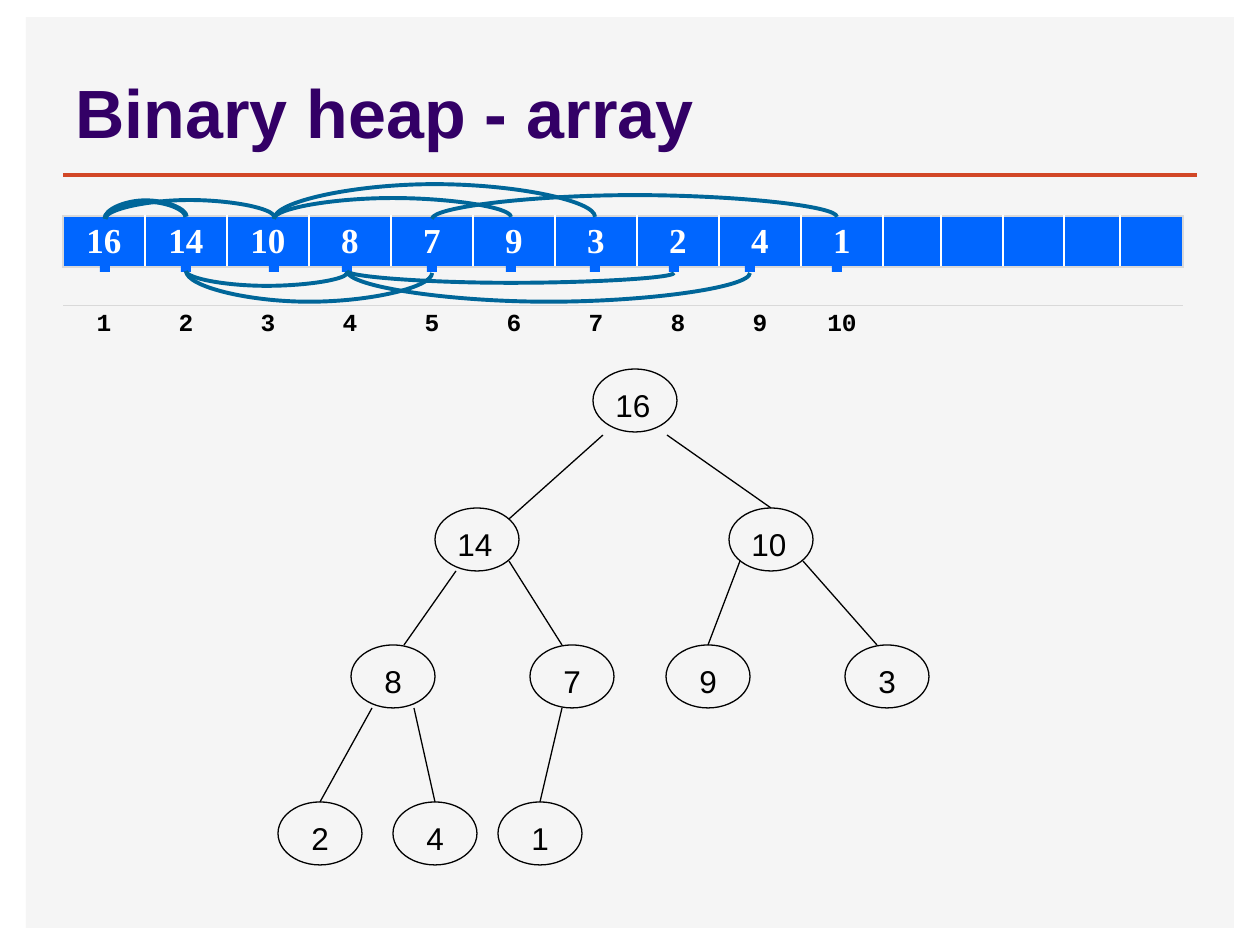
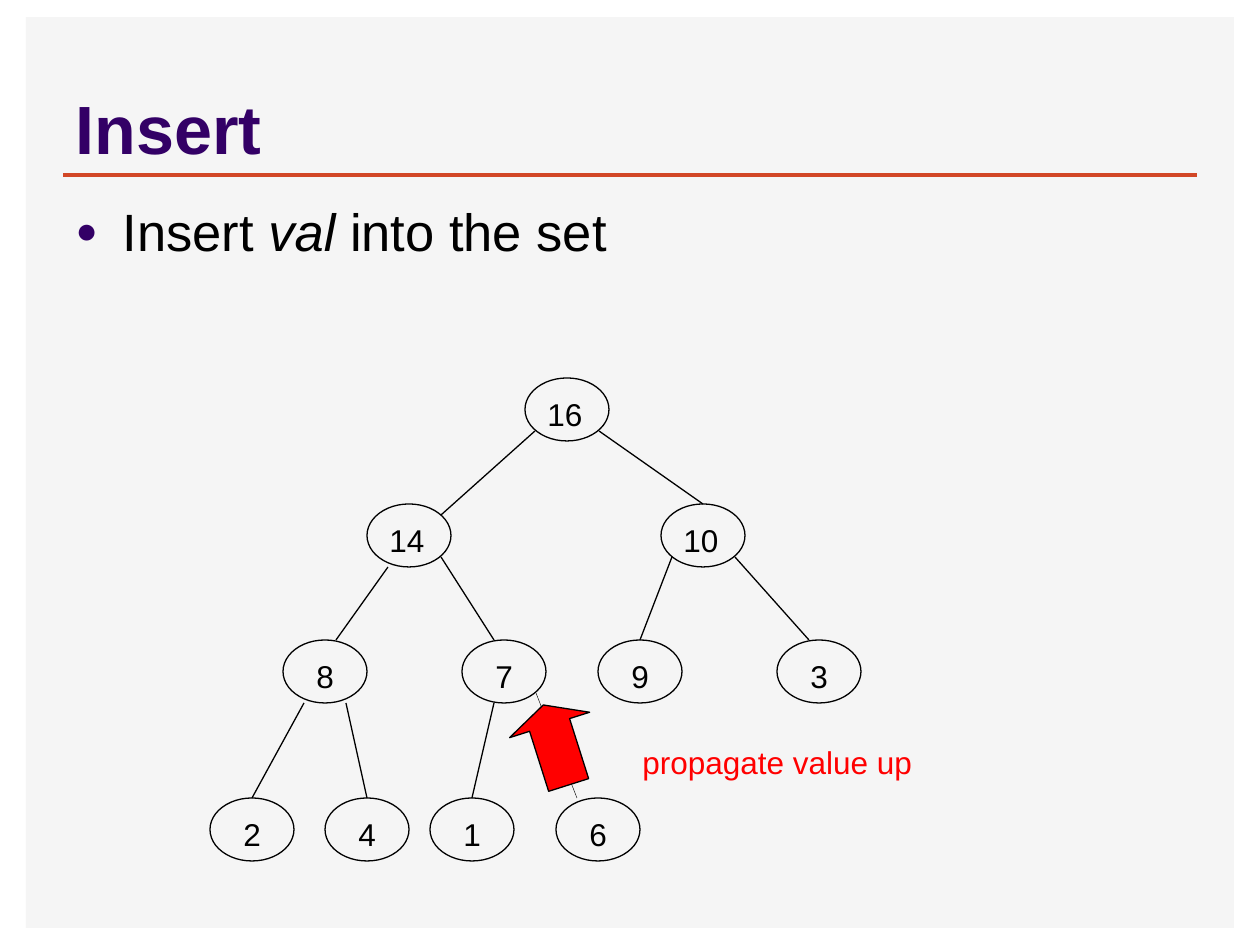
from dataclasses import dataclass

from lxml import etree
from pptx import Presentation
from pptx.dml.color import RGBColor
from pptx.enum.shapes import MSO_CONNECTOR, MSO_SHAPE
from pptx.enum.text import MSO_ANCHOR, MSO_AUTO_SIZE, PP_ALIGN
from pptx.oxml.ns import qn
from pptx.util import Pt

RECT, OVAL, UP_ARROW = MSO_SHAPE.RECTANGLE, MSO_SHAPE.OVAL, MSO_SHAPE.UP_ARROW
STRAIGHT, CURVE = MSO_CONNECTOR.STRAIGHT, MSO_CONNECTOR.CURVE
TOP, MIDDLE, BOTTOM = MSO_ANCHOR.TOP, MSO_ANCHOR.MIDDLE, MSO_ANCHOR.BOTTOM
LEFT, CENTER = PP_ALIGN.LEFT, PP_ALIGN.CENTER
NO_FIT = MSO_AUTO_SIZE.NONE

EMU_PER_PX = 914400 / 126
NO_STYLE_NO_GRID = "{2D5ABB26-0587-4C30-8999-92F81FD0307C}"


@dataclass(frozen=True)
class TextStyle:
    size: int
    color: str
    font: str = "Arial"
    bold: bool = False


@dataclass(frozen=True)
class Theme:
    panel: str = "F5F5F5"
    rule: str = "D24726"
    accent: str = "330066"
    cell: str = "0066FF"
    grid: str = "D9D9D9"
    white: str = "FFFFFF"
    arc: str = "006699"
    ink: str = "000000"
    alert: str = "FF0000"
    title: TextStyle = TextStyle(39, "330066", bold=True)
    body: TextStyle = TextStyle(30, "000000")
    node: TextStyle = TextStyle(18, "000000")
    note: TextStyle = TextStyle(18, "FF0000")
    value: TextStyle = TextStyle(20, "FFFFFF", "Times New Roman", True)
    index: TextStyle = TextStyle(14, "000000", "Courier New", True)


THEME = Theme()

# Heap content
HEAP = [16, 14, 10, 8, 7, 9, 3, 2, 4, 1]
COLUMN_WIDTHS = [82] * len(HEAP) + [58, 62, 61, 56, 63]
ANCHOR_X = [100, 181, 269, 342, 427, 506, 590, 669, 745, 832]
# Arcs: parent index, child index, depth, line width
UPPER_ARCS = [(1, 2, 18, 3), (1, 3, 19, 2.25), (3, 6, 21, 2.25),
              (3, 7, 35, 2.25), (5, 10, 24, 2.25)]
LOWER_ARCS = [(2, 4, 15, 2.25), (2, 5, 31, 2.25), (4, 9, 31, 2.25),
              (4, 8, 12, 2.25)]

# Tree layout: value -> (x, level), in a node of 84 by 63
NODE_W, NODE_H = 84, 63
NODES = {16: (525, 0), 14: (367, 1), 10: (661, 1), 8: (283, 2), 7: (462, 2),
         9: (598, 2), 3: (777, 2), 2: (210, 3), 4: (325, 3), 1: (430, 3),
         6: (556, 3)}
# Edges: parent, child, offset in the parent, offset in the child
EDGES = [(16, 14, (10, 53), (74, 11)), (16, 10, (74, 53), (42, 0)),
         (14, 8, (21, 63), (53, 0)), (14, 7, (74, 53), (32, 0)),
         (10, 9, (11, 53), (42, 0)), (10, 3, (74, 53), (32, 0)),
         (8, 2, (21, 63), (42, 0)), (8, 4, (63, 63), (42, 0)),
         (7, 1, (32, 63), (42, 0))]
NEW_EDGE = (7, 6, (74, 53), (21, 0))


def px(n):
    return round(n * EMU_PER_PX)


def rgb(color):
    return RGBColor.from_string(color)


def sub(parent, tag, **attrs):
    return etree.SubElement(parent, qn(tag), attrs)


# Text
def add_run(p, text, style, italic=False):
    r = p.add_run()
    r.text = str(text)
    f = r.font
    f.size, f.name, f.bold, f.italic = Pt(style.size), style.font, style.bold, italic
    f.color.rgb = rgb(style.color)


def add_text(shapes, x, y, w, h, text, style):
    tf = shapes.add_textbox(px(x), px(y), px(w), px(h)).text_frame
    tf.word_wrap = True
    tf.vertical_anchor = MIDDLE
    add_run(tf.paragraphs[0], text, style)


def place(sp, x, y, w, h, anchor):
    sp.left, sp.top, sp.width, sp.height = px(x), px(y), px(w), px(h)
    tf = sp.text_frame
    tf.auto_size, tf.vertical_anchor, tf.word_wrap = NO_FIT, anchor, True
    p = tf.paragraphs[0]
    p.alignment, p.space_before = LEFT, Pt(0)
    return p


def set_title(slide, text, y, h):
    p = place(slide.shapes.title, 63, y, 1134, h, BOTTOM)
    add_run(p, text, THEME.title)


def set_bullet(slide, parts):
    p = place(slide.placeholders[1], 63, 193, 1134, 95, TOP)
    pPr = p._p.get_or_add_pPr()
    pPr.set("marL", str(px(47)))
    pPr.set("indent", str(px(-47)))
    sub(sub(pPr, "a:buClr"), "a:srgbClr", val=THEME.accent)
    sub(pPr, "a:buSzPct", val="70000")
    sub(pPr, "a:buFont", typeface="Arial")
    sub(pPr, "a:buChar", char="●")
    for text, italic in parts:
        add_run(p, text, THEME.body, italic)


# Shapes and lines
def add_shape(shapes, kind, x, y, w, h, fill=None, line=None):
    sp = shapes.add_shape(kind, px(x), px(y), px(w), px(h))
    sp.shadow.inherit = False
    if fill:
        sp.fill.solid()
        sp.fill.fore_color.rgb = rgb(fill)
    else:
        sp.fill.background()
    if line:
        sp.line.color.rgb = rgb(line)
        sp.line.width = Pt(0.75)
    else:
        sp.line.fill.background()
    return sp


def add_line(shapes, start, end, color, width, kind=STRAIGHT):
    c = shapes.add_connector(kind, *map(px, (*start, *end)))
    c.line.color.rgb = rgb(color)
    c.line.width = Pt(width)
    sub(c._element.spPr, "a:effectLst")
    return c


def add_arc(shapes, parent, child, depth, width, above):
    """Curved connector between two anchors, turned by a quarter."""
    site = 0 if above else 2
    thick = 2
    c = add_line(shapes, (0, 0), (1, 1), THEME.arc, width, CURVE)
    c.begin_connect(parent, site)
    c.end_connect(child, site)
    span = child.left - parent.left
    mid_x = (parent.left + child.left + parent.width) // 2
    mid_y = parent.top + (0 if above else parent.height)
    spPr = c._element.spPr
    xfrm = spPr.find(qn("a:xfrm"))
    for name in ("flipH", "flipV"):
        xfrm.attrib.pop(name, None)
    xfrm.set("rot", "5400000" if above else "16200000")
    xfrm.set("flipH", "1")
    if above:
        xfrm.set("flipV", "1")
    c.left, c.top = mid_x - px(thick) // 2, mid_y - span // 2
    c.width, c.height = px(thick), span
    geom = spPr.find(qn("a:prstGeom"))
    geom.set("prst", "curvedConnector3")
    av = geom.find(qn("a:avLst"))
    if av is None:
        av = sub(geom, "a:avLst")
    sub(av, "a:gd", name="adj1", fmla=f"val {depth * 100000 // thick}")


# Array table
def set_borders(cell, **colors):
    tcPr = cell._tc.get_or_add_tcPr()
    sides = [s for s in "LRTB" if s in colors]
    for i, side in enumerate(sides):
        ln = etree.Element(qn(f"a:ln{side}"), w=str(Pt(1)))
        sub(sub(ln, "a:solidFill"), "a:srgbClr", val=colors[side])
        tcPr.insert(i, ln)


def fill_cell(cell, text, style, anchor):
    cell.vertical_anchor = anchor
    p = cell.text_frame.paragraphs[0]
    p.alignment = CENTER
    add_run(p, text, style)


def add_array(slide):
    heights = [51, 37, 46]
    n = len(COLUMN_WIDTHS)
    frame = slide.shapes.add_table(3, n, px(63), px(216),
                                   px(sum(COLUMN_WIDTHS)), px(sum(heights)))
    table = frame.table
    table.first_row = table.horz_banding = False
    table._tbl.tblPr.find(qn("a:tableStyleId")).text = NO_STYLE_NO_GRID
    for row, h in zip(table.rows, heights):
        row.height = px(h)
    for i, w in enumerate(COLUMN_WIDTHS):
        table.columns[i].width = px(w)
        value, gap, index = (table.cell(r, i) for r in range(3))
        for cell in (value, gap, index):
            cell.margin_top = cell.margin_bottom = 0
            cell.fill.background()
        index.margin_top = px(6)
        value.fill.solid()
        value.fill.fore_color.rgb = rgb(THEME.cell)
        set_borders(value, T=THEME.grid, B=THEME.grid,
                    L=THEME.white if i else THEME.grid,
                    R=THEME.white if i < n - 1 else THEME.grid)
        set_borders(gap, T=THEME.grid, B=THEME.grid)
        set_borders(index, T=THEME.grid)
        if i < len(HEAP):
            fill_cell(value, HEAP[i], THEME.value, MIDDLE)
            fill_cell(index, i + 1, THEME.index, TOP)


def add_arcs(slide, y, arcs, above):
    anchors = [add_shape(slide.shapes, RECT, x, y, 10, 10, THEME.cell)
               for x in ANCHOR_X]
    for parent, child, depth, width in arcs:
        add_arc(slide.shapes, anchors[parent - 1], anchors[child - 1],
                depth, width, above)


# Heap tree
def add_node(slide, value, x, y):
    shapes = slide.shapes.add_group_shape().shapes
    add_shape(shapes, OVAL, x, y, NODE_W, NODE_H, line=THEME.ink)
    inset = 10 if value > 9 else 21
    add_text(shapes, x + inset, y + 11, 73, 50, value, THEME.node)


def add_tree(slide, values, dx, levels, root_drop=0):
    at = {v: (NODES[v][0] + dx, levels[NODES[v][1]]) for v in values}
    edges = [(e, 0.75) for e in EDGES]
    if NEW_EDGE[1] in at:
        edges.append((NEW_EDGE, 0.25))
    for (parent, child, out, into), width in edges:
        (x1, y1), (x2, y2) = at[parent], at[child]
        drop = root_drop if parent == HEAP[0] else 0
        add_line(slide.shapes, (x1 + out[0], y1 + out[1] + drop),
                 (x2 + into[0], y2 + into[1]), THEME.ink, width)
    for value, (x, y) in at.items():
        add_node(slide, value, x, y)


# Slides
def dress_master(prs, slide):
    """Move the shared panel and title rule to the master."""
    panel = add_shape(slide.shapes, RECT, 26, 17, 1208, 911, THEME.panel)
    rule = add_line(slide.shapes, (63, 175), (1197, 175), THEME.rule, 2)
    tree = prs.slide_master.shapes._spTree
    tree.insert(2, panel._element)
    tree.insert(3, rule._element)


def build_array_slide(slide):
    set_title(slide, "Binary heap - array", 31, 127)
    add_array(slide)
    add_arcs(slide, 218, UPPER_ARCS, above=True)
    add_arcs(slide, 262, LOWER_ARCS, above=False)
    add_tree(slide, HEAP, 68, [369, 508, 645, 802], root_drop=13)


def build_insert_slide(slide):
    set_title(slide, "Insert", 16, 158)
    set_bullet(slide, [("Insert ", False), ("val", True), (" into the set", False)])
    add_tree(slide, HEAP + [6], 0, [378, 504, 640, 798])
    arrow = add_shape(slide.shapes, UP_ARROW, 514, 703, 84, 84,
                      THEME.alert, THEME.ink)
    arrow.rotation = 342.4
    arrow.adjustments[0], arrow.adjustments[1] = 0.5, 0.25
    add_text(slide.shapes, 630, 737, 347, 50, "propagate value up", THEME.note)


def main():
    prs = Presentation()
    prs.slide_width, prs.slide_height = px(1260), px(945)
    array_slide = prs.slides.add_slide(prs.slide_layouts[5])
    insert_slide = prs.slides.add_slide(prs.slide_layouts[1])
    dress_master(prs, array_slide)
    build_array_slide(array_slide)
    build_insert_slide(insert_slide)
    prs.save("out.pptx")


if __name__ == "__main__":
    main()
